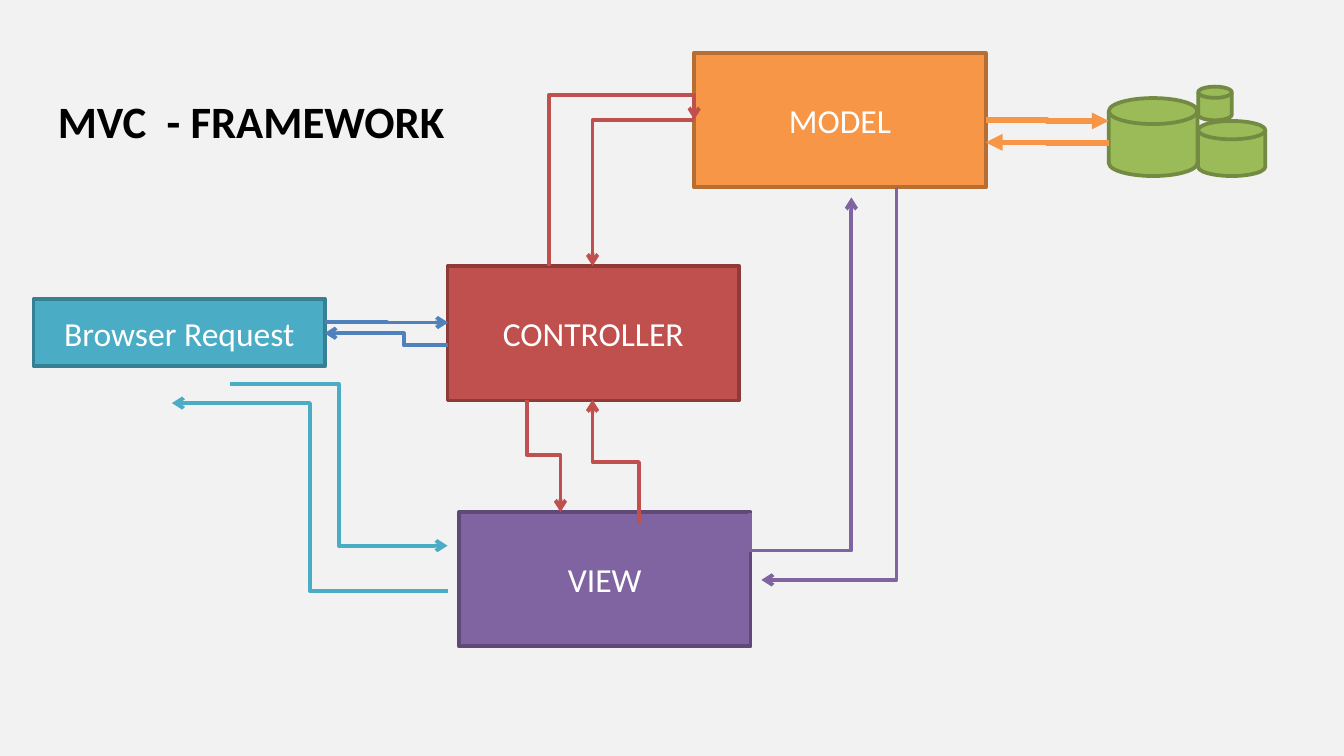
import pptx
import pptx.dml.color
import pptx.enum.shapes
import pptx.enum.text
import pptx.oxml.ns
import pptx.util
from lxml import etree

PX = 4572
FONT = "Calibri"
BLUE, TEAL, RED = "4F81BD", "4BACC6", "C0504D"
ORANGE, PURPLE, GREEN = "F79646", "8064A2", "9BBB59"
SHAPE = pptx.enum.shapes.MSO_SHAPE
ALIGN = pptx.enum.text.PP_ALIGN
ANCHOR = pptx.enum.text.MSO_ANCHOR
qn = pptx.oxml.ns.qn


def px(n):
    return pptx.util.Emu(round(n * PX))


def set_color(fmt, color):
    fmt.rgb = pptx.dml.color.RGBColor.from_string(color)


def set_fill(fill, color):
    fill.solid()
    set_color(fill.fore_color, color)


def set_text(sp, text, size, color, align, anchor, bold=False):
    tf = sp.text_frame
    tf.text = text
    tf.word_wrap = True
    tf.auto_size = pptx.enum.text.MSO_AUTO_SIZE.NONE
    tf.vertical_anchor = anchor
    p = tf.paragraphs[0]
    p.alignment = align
    font = p.runs[0].font
    font.name, font.size, font.bold = FONT, pptx.util.Pt(size), bold
    set_color(font.color, color)


def add_title(s, text, x, y, w, h):
    sp = s.shapes.title
    sp.left, sp.top, sp.width, sp.height = map(px, (x, y, w, h))
    set_text(sp, text, 24, "000000", ALIGN.LEFT, ANCHOR.TOP, True)


def add_solid(s, kind, x, y, w, h, fill, line):
    sp = s.shapes.add_shape(kind, px(x), px(y), px(w), px(h))
    sp.shadow.inherit = False
    set_fill(sp.fill, fill)
    set_fill(sp.line.fill, line)
    sp.line.width = pptx.util.Pt(2)
    return sp


def add_box(s, text, x, y, h, fill, line):
    sp = add_solid(s, SHAPE.RECTANGLE, x, y, 434, h, fill, line)
    set_text(sp, text, 18, "FFFFFF", ALIGN.CENTER, ANCHOR.MIDDLE)


def add_elbow(s, start, end, color, bend=0.5, vertical=False, width=2, head="arrow"):
    (x1, y1), (x2, y2) = start, end
    if vertical:
        cx, cy = (x1 + x2) / 2, (y1 + y2) / 2
        dx, dy = (x2 - x1) / 2, (y2 - y1) / 2
        x1, y1, x2, y2 = cx - dy, cy + dx, cx + dy, cy - dx
    c = s.shapes.add_connector(
        pptx.enum.shapes.MSO_CONNECTOR.ELBOW, px(x1), px(y1), px(x2), px(y2))
    set_fill(c.line.fill, color)
    c.line.width = pptx.util.Pt(width)
    spPr = c._element.spPr
    if vertical:
        spPr.find(qn("a:xfrm")).set("rot", "5400000")
    guides = spPr.find(qn("a:prstGeom")).find(qn("a:avLst"))
    etree.SubElement(guides, qn("a:gd"), name="adj1", fmla=f"val {round(bend * 100000)}")
    etree.SubElement(spPr.find(qn("a:ln")), qn("a:tailEnd"), type=head)
    etree.SubElement(spPr, qn("a:effectLst"))


def main():
    prs = pptx.Presentation()
    prs.slide_width, prs.slide_height = px(2000), px(1125)
    s = prs.slides.add_slide(prs.slide_layouts[5])
    set_fill(s.background.fill, "F2F2F2")
    add_title(s, "MVC  - FRAMEWORK", 66, 130, 616, 180)

    add_box(s, "Browser Request", 50, 445, 100, TEAL, "377F92")
    add_box(s, "CONTROLLER", 666, 396, 200, RED, "8E3B38")
    add_box(s, "MODEL", 1033, 79, 200, ORANGE, "B66E33")
    add_box(s, "VIEW", 683, 762, 200, PURPLE, "5E4977")

    for disk in ((1650, 146, 132, 116), (1783, 180, 100, 82), (1783, 129, 50, 50)):
        add_solid(s, SHAPE.FLOWCHART_MAGNETIC_DISK, *disk, GREEN, "728A41")

    add_elbow(s, (484, 479), (667, 480), BLUE)
    add_elbow(s, (667, 514), (483, 496), BLUE, 0.36)

    add_elbow(s, (817, 396), (1033, 178), RED, 1.17, vertical=True)
    add_elbow(s, (1033, 179), (882, 396), RED, 1)
    add_elbow(s, (784, 596), (834, 762), RED, 0.49, vertical=True)
    add_elbow(s, (951, 780), (882, 595), RED, vertical=True)

    add_elbow(s, (1467, 179), (1650, 180), ORANGE, width=3, head="triangle")
    add_elbow(s, (1650, 213), (1467, 212), ORANGE, width=3, head="triangle")

    add_elbow(s, (342, 571), (666, 812), TEAL)
    add_elbow(s, (667, 880), (256, 600), TEAL)

    add_elbow(s, (1116, 763), (1267, 294), PURPLE, -0.12, vertical=True)
    add_elbow(s, (1334, 279), (1133, 863), PURPLE, 1, vertical=True)

    prs.save("out.pptx")


if __name__ == "__main__":
    main()
